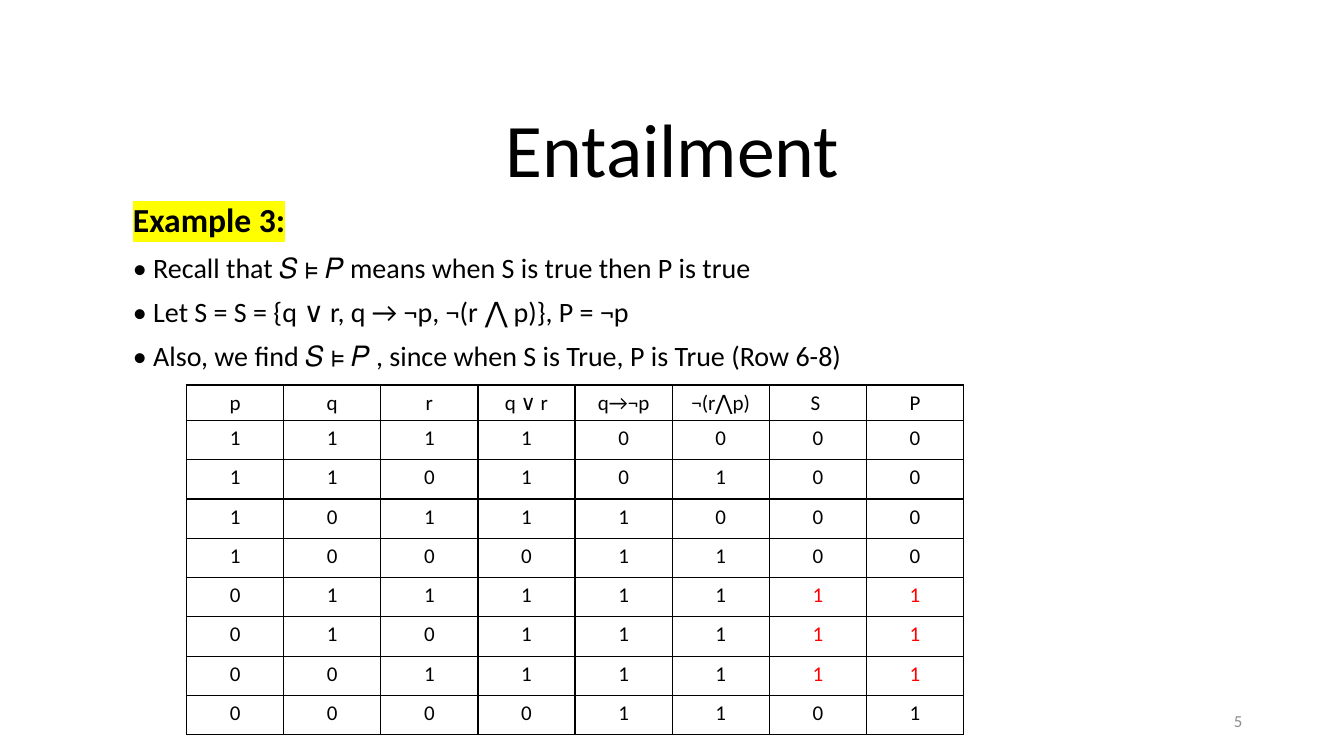
"""Builds the Entailment slide with its truth table."""
from dataclasses import dataclass
from itertools import product

from lxml.etree import SubElement
from pptx import Presentation
from pptx.dml.color import RGBColor
from pptx.enum.text import MSO_ANCHOR, MSO_AUTO_SIZE, PP_ALIGN
from pptx.oxml import parse_xml
from pptx.oxml.ns import nsdecls, qn
from pptx.util import Emu, Pt

BLACK = RGBColor(0x00, 0x00, 0x00)
RED = RGBColor(0xFF, 0x00, 0x00)
GRAY = RGBColor(0x8C, 0x8C, 0x8C)
YELLOW = RGBColor(0xFF, 0xFF, 0x00)
FONT = "Calibri"
EMU_PER_PX = 9144
HEADINGS = ["p", "q", "r", "q ∨ r", "q→¬p", "¬(r⋀p)", "S ", "P"]


@dataclass(frozen=True)
class Box:
    left: int
    top: int
    width: int
    height: int

    def emu(self) -> tuple[Emu, Emu, Emu, Emu]:
        return px(self.left), px(self.top), px(self.width), px(self.height)


@dataclass(frozen=True)
class Line:
    text: str
    size: int = 20
    bold: bool = False
    highlight: RGBColor | None = None


@dataclass(frozen=True)
class TruthRow:
    values: list[bool]
    entails: bool


LINES = [
    Line("Example 3:", 24, True, YELLOW),
    Line("• Recall that 𝑆 ⊧ 𝑃 means when S is true then P is true"),
    Line("• Let S = S = {q ∨ r, q → ¬p, ¬(r ⋀ p)}, P = ¬p"),
    Line("• Also, we find 𝑆 ⊧ 𝑃 , since when S is True, P is True (Row 6-8)"),
]


def px(length: int) -> Emu:
    return Emu(length * EMU_PER_PX)


def write(paragraph, text: str, size: int, color: RGBColor = BLACK,
          align: PP_ALIGN = PP_ALIGN.LEFT, bold: bool = False) -> None:
    paragraph.text = text
    paragraph.alignment = align
    for run in paragraph.runs:
        run.font.size = Pt(size)
        run.font.bold = bold
        run.font.color.rgb = color
        run.font.name = FONT


def highlight(run, color: RGBColor) -> None:
    fill = run.font._element.find(qn("a:solidFill"))
    fill.addnext(parse_xml(f'<a:highlight {nsdecls("a")}><a:srgbClr val="{color}"/></a:highlight>'))


def add_title(slide, text: str, box: Box) -> None:
    title = slide.shapes.title
    title.left, title.top, title.width, title.height = box.emu()
    frame = title.text_frame
    frame.auto_size = MSO_AUTO_SIZE.NONE
    frame.vertical_anchor = MSO_ANCHOR.BOTTOM
    write(frame.paragraphs[0], text, 54, align=PP_ALIGN.CENTER)
    frame.paragraphs[0].line_spacing = 0.9


def add_lines(slide, lines: list[Line], box: Box) -> None:
    frame = slide.shapes.add_textbox(*box.emu()).text_frame
    frame.word_wrap = True
    frame.text = "\n".join(line.text for line in lines)
    for paragraph, line in zip(frame.paragraphs, lines):
        write(paragraph, line.text, line.size, bold=line.bold)
        paragraph.line_spacing = 0.9
        paragraph.space_before = Pt(10)
        if line.highlight is not None:
            highlight(paragraph.runs[0], line.highlight)


def truth_rows() -> list[TruthRow]:
    rows = []
    for p, q, r in product([True, False], repeat=3):
        premises = [q or r, not (q and p), not (r and p)]
        s = all(premises)
        rows.append(TruthRow([p, q, r, *premises, s, not p], s and not p))
    return rows


def fill_cell(cell, text: str, color: RGBColor) -> None:
    write(cell.text_frame.paragraphs[0], text, 15, color, PP_ALIGN.CENTER)
    properties = cell._tc.get_or_add_tcPr()
    for side in ("lnL", "lnR", "lnT", "lnB"):
        border = SubElement(properties, qn(f"a:{side}"), w=str(Pt(1)))
        SubElement(SubElement(border, qn("a:solidFill")), qn("a:srgbClr"), val=str(BLACK))
    cell.fill.background()


def add_truth_table(slide, rows: list[TruthRow], box: Box) -> None:
    table = slide.shapes.add_table(len(rows) + 1, len(HEADINGS), *box.emu()).table
    table.first_row = table.horz_banding = False
    for column in table.columns:
        column.width = px(box.width) // len(HEADINGS)
    for index, row in enumerate(table.rows):
        row.height = px(39 if index else 35)
    for column, heading in enumerate(HEADINGS):
        fill_cell(table.cell(0, column), heading, BLACK)
    for index, row in enumerate(rows, start=1):
        for column, value in enumerate(row.values):
            color = RED if row.entails and HEADINGS[column].strip() in ("S", "P") else BLACK
            fill_cell(table.cell(index, column), str(int(value)), color)


def add_page_number(slide, number: str, box: Box) -> None:
    frame = slide.shapes.add_textbox(*box.emu()).text_frame
    frame.word_wrap = True
    frame.vertical_anchor = MSO_ANCHOR.MIDDLE
    write(frame.paragraphs[0], number, 12, GRAY, PP_ALIGN.RIGHT)


def main() -> None:
    presentation = Presentation()
    presentation.slide_width, presentation.slide_height = px(1333), px(750)
    slide = presentation.slides.add_slide(presentation.slide_layouts.get_by_name("Title Only"))
    add_lines(slide, LINES, Box(122, 197, 834, 178))
    add_title(slide, "Entailment", Box(167, 123, 1000, 74))
    add_truth_table(slide, truth_rows(), Box(185, 382, 771, 347))
    add_page_number(slide, "5", Box(942, 695, 300, 40))
    presentation.save("out.pptx")


if __name__ == "__main__":
    main()
